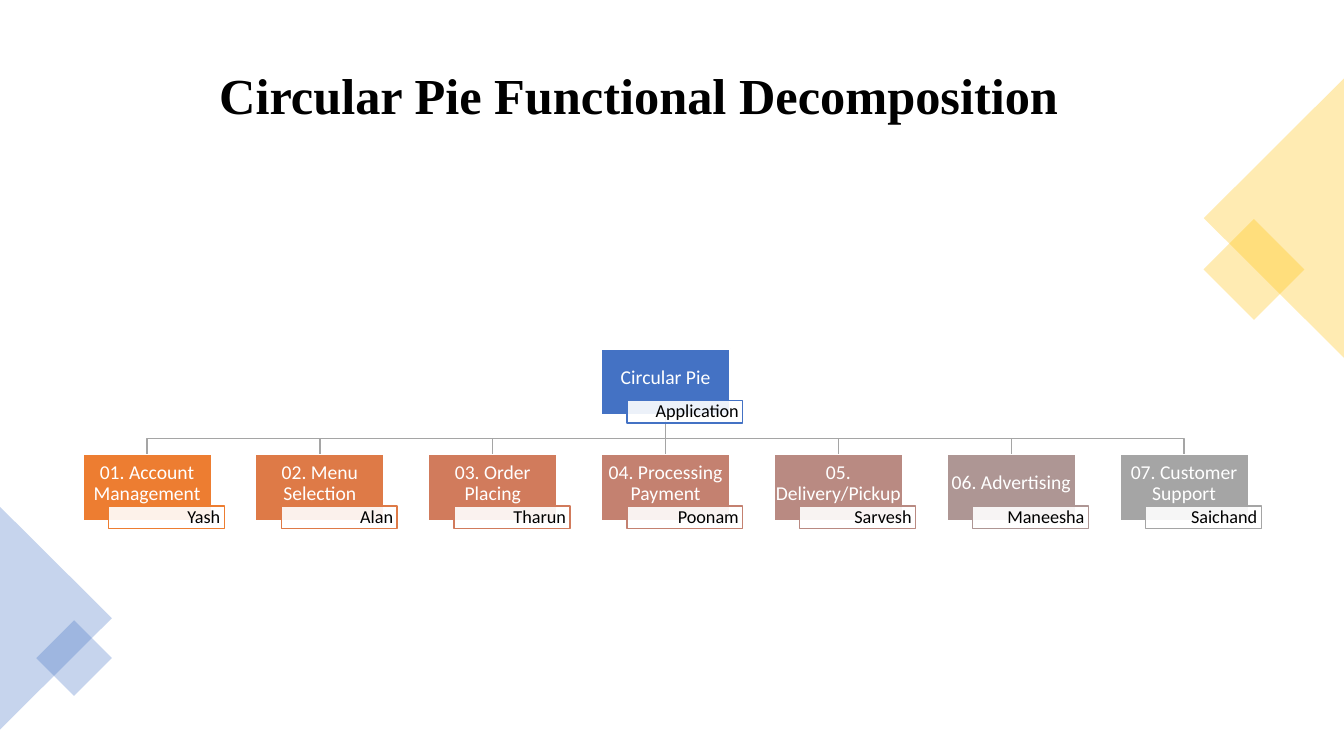
from pptx import Presentation
from pptx.dml.color import RGBColor
from pptx.enum.shapes import MSO_CONNECTOR, MSO_SHAPE
from pptx.enum.text import MSO_ANCHOR, PP_ALIGN
from pptx.oxml.ns import qn
from pptx.util import Pt

RECTANGLE, TRIANGLE = MSO_SHAPE.RECTANGLE, MSO_SHAPE.ISOSCELES_TRIANGLE
STRAIGHT = MSO_CONNECTOR.STRAIGHT
MIDDLE = MSO_ANCHOR.MIDDLE
LEFT, CENTER, RIGHT = PP_ALIGN.LEFT, PP_ALIGN.CENTER, PP_ALIGN.RIGHT
BLACK = RGBColor(0x00, 0x00, 0x00)
WHITE = RGBColor(0xFF, 0xFF, 0xFF)
GOLD = RGBColor(0xFF, 0xC0, 0x00)
BLUE = RGBColor(0x44, 0x72, 0xC4)
GRAY = RGBColor(0xA5, 0xA5, 0xA5)

BOX_WIDTH, BOX_HEIGHT = 92.16, 47.5
TAG_WIDTH, TAG_HEIGHT = 82.8, 16
TAG_RIGHT, TAG_DOWN = 18.4, 36.9
FIRST_LEFT, PITCH = 59, 123.45
ROOT_TOP, BRANCH_Y, ROW_TOP = 249.2, 313.2, 324.6

TITLE_FORMAT = {"size": Pt(36), "name": "Times New Roman", "bold": True}
BOX_FORMAT = {"size": Pt(14), "name": "Calibri"}
TAG_FORMAT = {"size": Pt(13), "name": "Calibri"}

functions = [
    ("01. Account Management", "Yash", RGBColor(0xED, 0x7D, 0x31)),
    ("02. Menu Selection", "Alan", RGBColor(0xDE, 0x7A, 0x47)),
    ("03. Order Placing", "Tharun", RGBColor(0xD1, 0x7B, 0x5C)),
    ("04. Processing Payment", "Poonam", RGBColor(0xC4, 0x81, 0x70)),
    ("05. Delivery/Pickup", "Sarvesh", RGBColor(0xB9, 0x8A, 0x82)),
    ("06. Advertising", "Maneesha", RGBColor(0xAE, 0x96, 0x94)),
    ("07. Customer Support", "Saichand", GRAY),
]

deck = Presentation()
deck.slide_width, deck.slide_height = Pt(960), Pt(540)
slide = deck.slides.add_slide(deck.slide_layouts[6])
shapes = slide.shapes


def add_filled(kind, place, color, opacity=100, line=None, line_width=1):
    """Add a flat shape; place is left, top, width, height, opacity a percentage."""
    shape = shapes.add_shape(kind, *map(Pt, place))
    shape.shadow.inherit = False
    shape.fill.solid()
    shape.fill.fore_color.rgb = color
    if opacity < 100:
        fill_color = next(shape.element.iter(qn("a:srgbClr")))
        alpha = fill_color.makeelement(qn("a:alpha"), {"val": str(opacity * 1000)})
        fill_color.append(alpha)
    if line is None:
        shape.line.fill.background()
    else:
        shape.line.color.rgb = line
        shape.line.width = Pt(line_width)
    return shape


def write_text(shape, text, alignment, color, margins, font_format):
    """Set one paragraph; margins are left, top, right, bottom."""
    frame = shape.text_frame
    frame.word_wrap = True
    frame.vertical_anchor = MIDDLE
    for side, margin in zip(("left", "top", "right", "bottom"), margins):
        setattr(frame, "margin_" + side, Pt(margin))
    para = frame.paragraphs[0]
    para.alignment = alignment
    para.line_spacing = 0.9
    span = para.add_run()
    span.text = text
    span.font.color.rgb = color
    for attribute, value in font_format.items():
        setattr(span.font, attribute, value)


# Title
title = shapes.add_textbox(Pt(50.4), Pt(25.2), Pt(859), Pt(89.3))
write_text(title, "Circular Pie Functional Decomposition", LEFT, BLACK,
           (106.2, 3.6, 7.2, 3.6), TITLE_FORMAT)

# Corner decorations
decorations = [
    (RECTANGLE, (870.2, 167, 51, 51), 45, GOLD),
    (TRIANGLE, (810.2, 105.8, 199.4, 100), 270, GOLD),
    (TRIANGLE, (-39.6, 401.6, 159.1, 79.9), 90, BLUE),
    (RECTANGLE, (33.8, 451, 38.2, 38.2), 45, BLUE),
]
for kind, place, rotation, color in decorations:
    add_filled(kind, place, color, opacity=30).rotation = rotation

# Boxes of the chart, root first
middle = len(functions) // 2
root_left = FIRST_LEFT + middle * PITCH
nodes = [("Circular Pie", "Application", BLUE, root_left, ROOT_TOP)]
for index, (label, owner, color) in enumerate(functions):
    nodes.append((label, owner, color, FIRST_LEFT + index * PITCH, ROW_TOP))

boxes = []
for label, owner, color, left, top in nodes:
    box = add_filled(RECTANGLE, (left, top, BOX_WIDTH, BOX_HEIGHT), color,
                     line=WHITE, line_width=1.5)
    write_text(box, label, CENTER, WHITE, (0.7, 0.7, 0.7, 6.5), BOX_FORMAT)
    boxes.append(box)

# Branches from the root to each function
root_x = root_left + BOX_WIDTH / 2
root_bottom = ROOT_TOP + BOX_HEIGHT
for index in range(len(functions)):
    end_x = FIRST_LEFT + index * PITCH + BOX_WIDTH / 2
    if index == middle:
        branch = shapes.add_connector(STRAIGHT, Pt(root_x), Pt(root_bottom),
                                      Pt(end_x), Pt(ROW_TOP))
        branch.begin_connect(boxes[0], 2)
        branch.end_connect(boxes[index + 1], 0)
        properties = branch.element.spPr
        properties.append(properties.makeelement(qn("a:effectLst"), {}))
    else:
        outline = shapes.build_freeform(Pt(root_x), Pt(root_bottom))
        outline.add_line_segments(
            [(Pt(root_x), Pt(BRANCH_Y)), (Pt(end_x), Pt(BRANCH_Y)),
             (Pt(end_x), Pt(ROW_TOP))], close=False)
        branch = outline.convert_to_shape()
        branch.shadow.inherit = False
        branch.fill.background()
    branch.line.color.rgb = GRAY
    branch.line.width = Pt(1)

# Tags overlapping the lower right of each box
for label, owner, color, left, top in nodes:
    place = (left + TAG_RIGHT, top + TAG_DOWN, TAG_WIDTH, TAG_HEIGHT)
    tag = add_filled(RECTANGLE, place, WHITE, opacity=90, line=color)
    write_text(tag, owner, RIGHT, BLACK, (2.9, 0.7, 2.9, 0.7), TAG_FORMAT)

deck.save("out.pptx")
